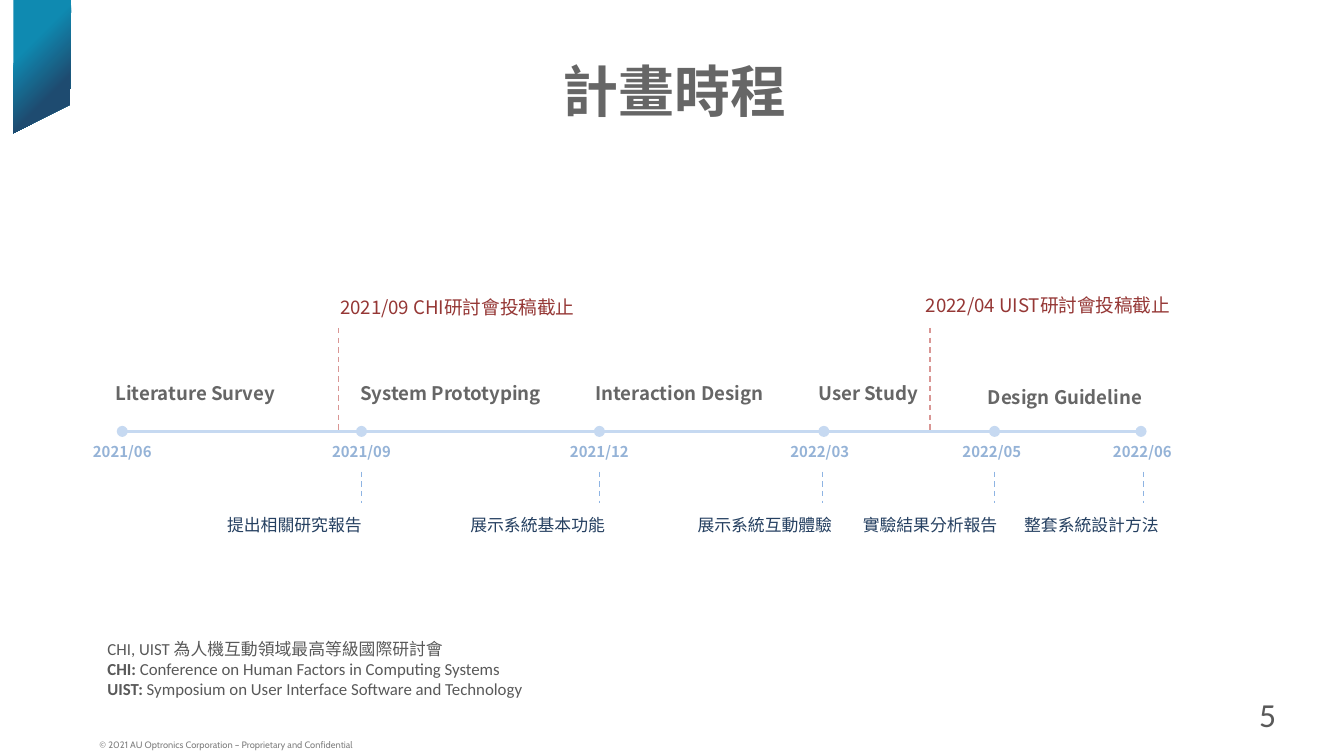
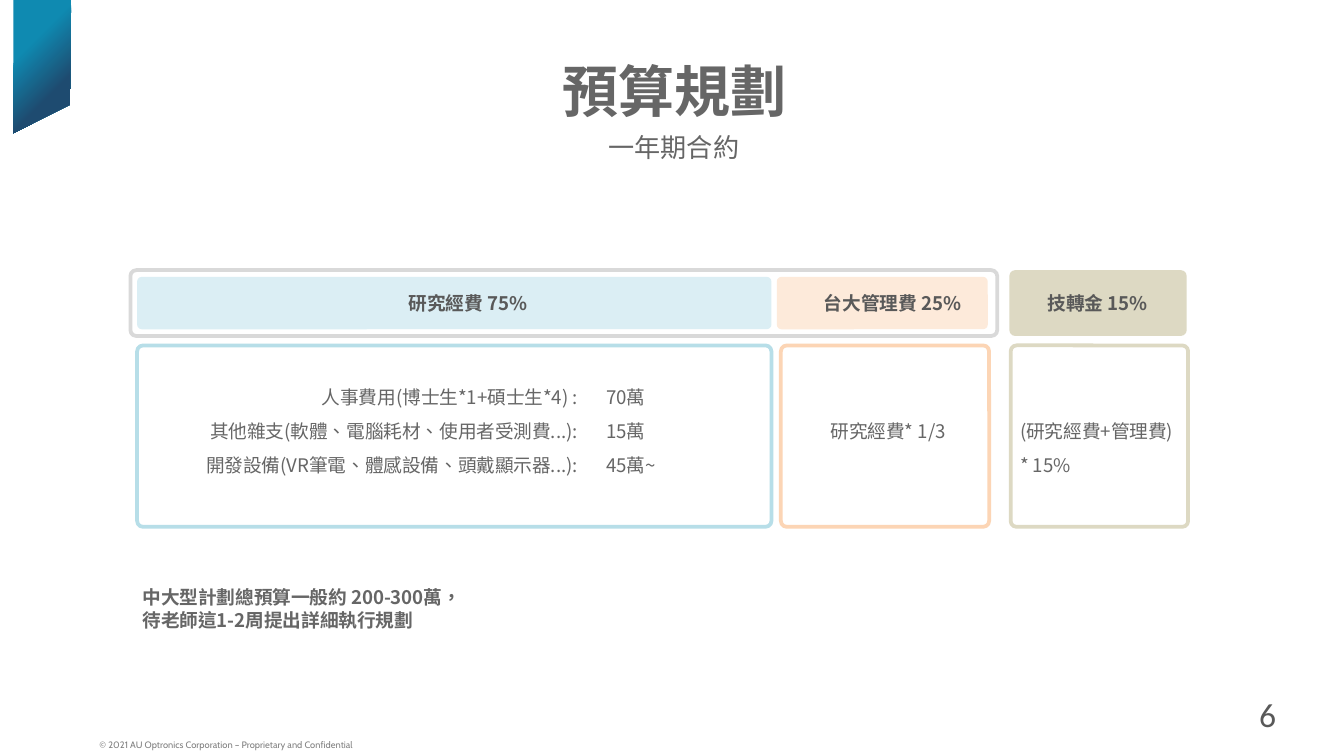
"""Build the project schedule and budget slides."""
from dataclasses import dataclass

import pptx
import pptx.dml.color
import pptx.enum.dml
import pptx.enum.shapes
import pptx.enum.text
import pptx.oxml.ns
import pptx.util
from lxml import etree

Inches = pptx.util.Inches
RGB = pptx.dml.color.RGBColor.from_string
qn = pptx.oxml.ns.qn
ALIGN = pptx.enum.text.PP_ALIGN
ANCHOR = pptx.enum.text.MSO_ANCHOR


@dataclass(frozen=True)
class Theme:
    cjk: str = "Noto Sans CJK SC"
    heading: str = "Lato"
    plain: str = "Calibri"
    fine: str = "Cabin"
    grey: str = "666666"
    dark_grey: str = "595959"
    light_grey: str = "D9D9D9"
    footer_grey: str = "808080"
    teal: str = "0F8AB1"
    navy: str = "1E4B70"
    axis: str = "C6D9F1"
    date: str = "95B3D7"
    drop: str = "8EB4E3"
    deliverable: str = "254061"
    deadline: str = "953735"
    deadline_line: str = "D99694"
    research: str = "DBEEF4"
    research_edge: str = "B7DEE8"
    overhead: str = "FDEADA"
    overhead_edge: str = "FCD5B5"
    licence: str = "DDD9C3"
    title_size: float = 30
    number_size: float = 18
    subtitle_size: float = 14
    body_size: float = 10
    note_size: float = 9
    date_size: float = 8
    footer_size: float = 5


T = Theme()


def write(slide, text, left, top, width, height, *, size=T.body_size, colour=T.grey,
          font=T.cjk, bold=False, bold_lead=False, align=ALIGN.LEFT,
          anchor=ANCHOR.TOP, spacing=None, inset=(0.04, 0.02), holder=None):
    """Put text in a new box or a given holder, one paragraph per line."""
    place = [Inches(v) for v in (left, top, width, height)]
    holder = holder or slide.shapes.add_textbox(*place)
    holder.left, holder.top, holder.width, holder.height = place
    frame = holder.text_frame
    frame.word_wrap = True
    frame.auto_size = pptx.enum.text.MSO_AUTO_SIZE.NONE
    frame.vertical_anchor = anchor
    frame.margin_left = frame.margin_right = Inches(inset[0])
    frame.margin_top = frame.margin_bottom = Inches(inset[1])
    for index, row in enumerate(text.split("\n")):
        paragraph = frame.add_paragraph() if index else frame.paragraphs[0]
        paragraph.alignment = align
        if spacing:
            paragraph.line_spacing = spacing
        lead, colon, rest = row.partition(":") if bold_lead else ("", "", row)
        pieces = [(lead + colon, True), (rest, bold)] if colon else [(row, bold)]
        for piece, weight in pieces:
            run = paragraph.add_run()
            run.text = piece
            run.font.name = font
            run.font.size = pptx.util.Pt(size)
            run.font.bold = weight
            run.font.color.rgb = RGB(colour)
            run.font._element.set("lang", "zh-TW")
            east_asian = etree.SubElement(run.font._element, qn("a:ea"))
            east_asian.set("typeface", T.cjk)
    return holder


def rule(slide, x1, y1, x2, y2, colour, weight, dashed=False, ends=()):
    """Draw a straight line with optional dashes and round ends."""
    line = slide.shapes.add_connector(
        pptx.enum.shapes.MSO_CONNECTOR.STRAIGHT,
        Inches(x1), Inches(y1), Inches(x2), Inches(y2))
    line.line.color.rgb = RGB(colour)
    line.line.width = pptx.util.Pt(weight)
    if dashed:
        line.line.dash_style = pptx.enum.dml.MSO_LINE.DASH
    for end in ends:
        etree.SubElement(line.line._get_or_add_ln(), qn(end)).set("type", "oval")
    etree.SubElement(line._element.spPr, qn("a:effectLst"))


deck = pptx.Presentation()
deck.slide_width = Inches(10)
deck.slide_height = Inches(10 * 9 / 16)
layout = deck.slide_layouts[5]
schedule = deck.slides.add_slide(layout)
budget = deck.slides.add_slide(layout)

outline = schedule.shapes.build_freeform(Inches(0.1), Inches(0.99), scale=1.0)
outline.add_line_segments(
    [(Inches(x), Inches(y)) for x, y in ((0.52, 0.78), (0.53, 0), (0.1, 0))], close=True)
ribbon = outline.convert_to_shape()
ribbon.shadow.inherit = False
ribbon.line.fill.background()
ribbon.fill.gradient()
ribbon.fill.gradient_angle = 315
for stop, position, colour in zip(ribbon.fill.gradient_stops, (0.32, 0.7), (T.teal, T.navy)):
    stop.position = position
    stop.color.rgb = RGB(colour)
footer = write(schedule, "© 2021 AU Optronics Corporation – Proprietary and Confidential",
               0.66, 5.45, 3.75, 0.18, size=T.footer_size, colour=T.footer_grey,
               font=T.fine, anchor=ANCHOR.BOTTOM, spacing=0.8, inset=(0.08, 0.05))
for shared in (ribbon, footer):
    layout.shapes.element.append(shared._element)

for slide, title, number in ((schedule, "計畫時程", "5"), (budget, "預算規劃", "6")):
    write(slide, title, 1.57, 0.4, 6.9, 0.54, size=T.title_size, font=T.heading,
          bold=True, align=ALIGN.CENTER, holder=slide.shapes.title)
    write(slide, number, 9.27, 5.1, 0.6, 0.43, size=T.number_size, colour=T.dark_grey,
          font=T.plain, anchor=ANCHOR.MIDDLE, inset=(0.1, 0.1))

axis_y = 3.21
milestones = [(0.91, 0.91, "2021/06"), (2.69, 2.69, "2021/09"), (4.46, 4.46, "2021/12"),
              (6.13, 6.1, "2022/03"), (7.4, 7.38, "2022/05"), (8.49, 8.5, "2022/06")]
for (start, _, _), (end, _, _) in zip(milestones, milestones[1:]):
    first = start == milestones[0][0]
    rule(schedule, start, axis_y, end, axis_y, T.axis, 1.5,
         ends=("a:headEnd", "a:tailEnd") if first else ("a:tailEnd",))
for x in (2.69, 4.46, 6.12, 7.4, 8.51):
    rule(schedule, x, 3.51, x, 3.74, T.drop, 0.75, dashed=True)
for _, centre, date in milestones:
    write(schedule, date, centre - 0.41, 3.27, 0.82, 0.24, size=T.date_size, colour=T.date,
          bold=True, align=ALIGN.CENTER)

for phase, left, top, width in (
        ("Literature Survey", 0.82, 2.82, 1.42),
        ("System Prototyping", 2.64, 2.82, 1.46),
        ("Interaction Design", 4.39, 2.82, 1.4),
        ("User Study", 6.05, 2.82, 0.88),
        ("Design Guideline", 7.31, 2.85, 1.42)):
    write(schedule, phase, left, top, width, 0.24, bold=True)

for deliverable, left, width in (
        ("提出相關研究報告", 1.31, 1.42),
        ("展示系統基本功能", 3.36, 1.18),
        ("展示系統互動體驗", 5.05, 1.18),
        ("實驗結果分析報告", 6.33, 1.13),
        ("整套系統設計方法", 7.57, 1.09)):
    write(schedule, deliverable, left, 3.81, width, 0.24, size=T.note_size,
          colour=T.deliverable, align=ALIGN.RIGHT)

for deadline, x, left, top, width in (
        ("2021/09 CHI研討會投稿截止", 2.52, 2.49, 2.18, 2.07),
        ("2022/04 UIST研討會投稿截止", 6.92, 6.85, 2.17, 2.16)):
    rule(schedule, x, 2.44, x, axis_y, T.deadline_line, 0.75, dashed=True)
    write(schedule, deadline, left, top, width, 0.24, colour=T.deadline)

write(schedule, "CHI, UIST 為人機互動領域最高等級國際研討會\n"
      "CHI: Conference on Human Factors in Computing Systems\n"
      "UIST: Symposium on User Interface Software and Technology",
      0.76, 4.73, 4.8, 0.54, size=T.note_size, colour=T.dark_grey, font=T.plain,
      bold_lead=True)

write(budget, "一年期合約", 1.11, 0.96, 7.81, 0.49, size=T.subtitle_size,
      align=ALIGN.CENTER)

for left, top, width, height, fill, edge in (
        (1.02, 2.06, 4.72, 0.39, T.research, None),
        (5.78, 2.06, 1.57, 0.39, T.overhead, None),
        (7.51, 2.01, 1.32, 0.49, T.licence, None),
        (0.97, 2.01, 6.45, 0.49, None, T.light_grey),
        (1.02, 2.57, 4.72, 1.35, None, T.research_edge),
        (5.81, 2.57, 1.55, 1.35, None, T.overhead_edge),
        (7.52, 2.57, 1.32, 1.35, None, T.licence)):
    panel = budget.shapes.add_shape(
        pptx.enum.shapes.MSO_SHAPE.ROUNDED_RECTANGLE,
        Inches(left), Inches(top), Inches(width), Inches(height))
    panel.shadow.inherit = False
    panel.adjustments[0] = 0.033 if height > 1 else 0.09
    if fill:
        panel.fill.solid()
        panel.fill.fore_color.rgb = RGB(fill)
        panel.line.fill.background()
    else:
        panel.fill.background()
        panel.line.color.rgb = RGB(edge)
        panel.line.width = pptx.util.Pt(2)

for heading, left, width in (("研究經費 75%", 2.99, 0.98),
                             ("台大管理費 25%", 6, 1.28),
                             ("技轉金 15%", 7.69, 0.95)):
    write(budget, heading, left, 2.15, width, 0.21, colour=T.dark_grey, bold=True,
          align=ALIGN.CENTER)

for detail, left, top, width, height, align in (
        ("人事費用(博士生*1+碩士生*4) :\n"
         "其他雜支(軟體、電腦耗材、使用者受測費...):\n"
         "開發設備(VR筆電、體感設備、頭戴顯示器...):", 1.05, 2.77, 3.29, 0.95, ALIGN.RIGHT),
        ("70萬\n15萬\n45萬~", 4.47, 2.77, 1.67, 0.95, ALIGN.LEFT),
        ("研究經費* 1/3", 6.14, 3.02, 1.03, 0.45, ALIGN.LEFT),
        ("(研究經費+管理費)\n* 15%", 7.55, 3.02, 1.29, 0.55, ALIGN.LEFT)):
    write(budget, detail, left, top, width, height, align=align, spacing=1.5)

write(budget, "中大型計劃總預算一般約 200-300萬，\n待老師這1-2周提出詳細執行規劃",
      1.02, 4.34, 4.23, 0.84, bold=True)

deck.save("out.pptx")
